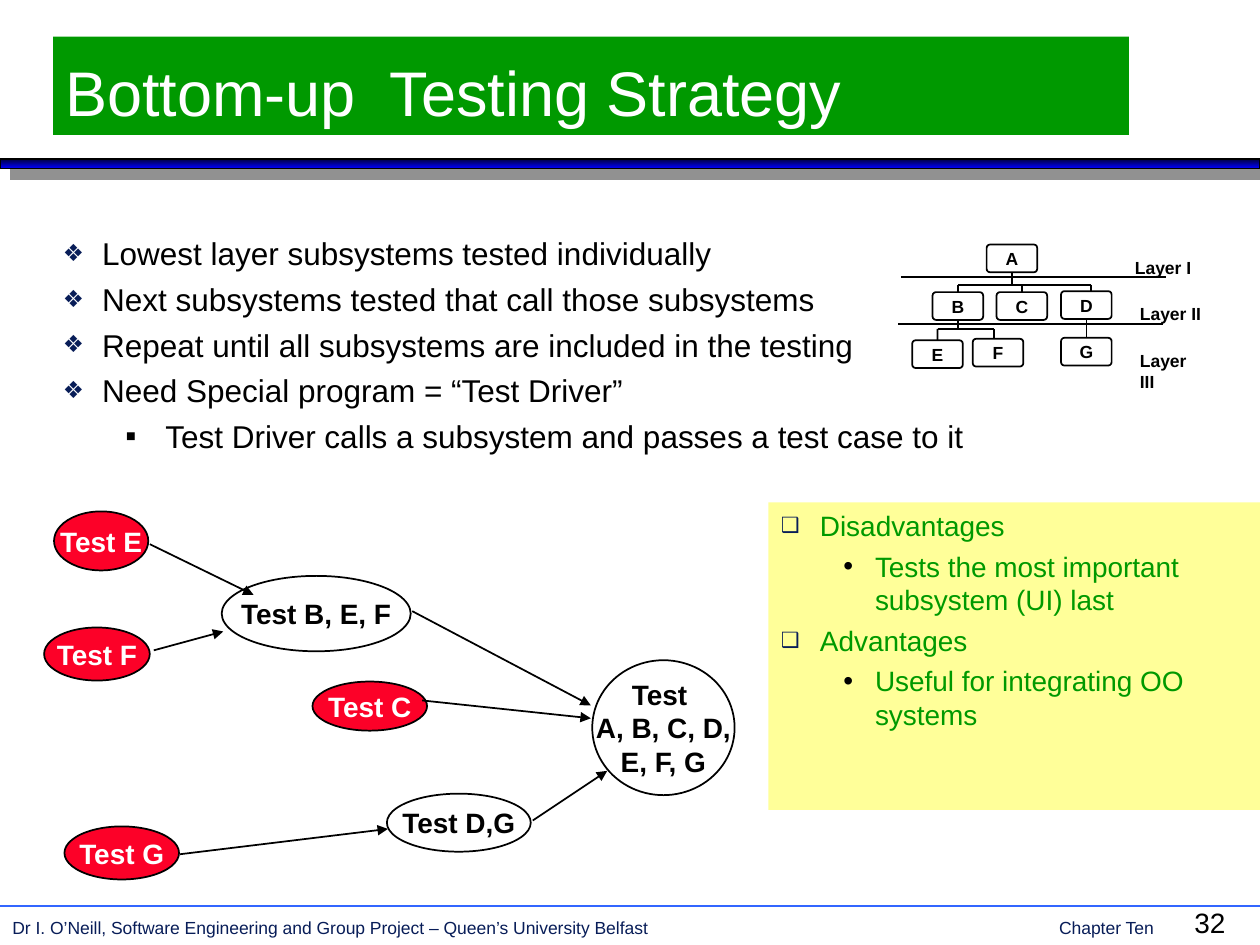
from lxml import etree
from pptx import Presentation
from pptx.dml.color import RGBColor
from pptx.enum.shapes import MSO_CONNECTOR, MSO_SHAPE
from pptx.enum.text import MSO_ANCHOR, PP_ALIGN
from pptx.oxml.ns import qn
from pptx.util import Cm, Pt

RECT, ROUND, OVAL = MSO_SHAPE.RECTANGLE, MSO_SHAPE.ROUNDED_RECTANGLE, MSO_SHAPE.OVAL
LINE = MSO_CONNECTOR.STRAIGHT
LEFT, MID = PP_ALIGN.LEFT, PP_ALIGN.CENTER
TOP, CENTRE, BASE = MSO_ANCHOR.TOP, MSO_ANCHOR.MIDDLE, MSO_ANCHOR.BOTTOM
HEX = {"black": "000000", "white": "FFFFFF", "navy": "081D58", "dark": "000036",
       "blue": "0000FF", "rule": "3366FF", "grey": "919191", "green": "009900",
       "red": "FC0128", "pale": "FFFF99"}
RGB = {name: RGBColor.from_string(code) for name, code in HEX.items()}

deck = Presentation()
deck.slide_width, deck.slide_height = Cm(25.4), Cm(19.05)
slide = deck.slides.add_slide(deck.slide_layouts[6])
shapes = slide.shapes


def write(shape, text, size, color="black", bold=False, align=LEFT, anchor=TOP, wrap=False):
    frame = shape.text_frame
    frame.text = text
    frame.word_wrap = wrap
    frame.vertical_anchor = anchor
    for para in frame.paragraphs:
        para.alignment = align
        font = para.runs[0].font
        font.name, font.size, font.bold = "Arial", Pt(size), bold
        font.color.rgb = RGB[color]


def link(x1, y1, x2, y2, color="black", head=False):
    line = shapes.add_connector(LINE, Cm(x1), Cm(y1), Cm(x2), Cm(y2))
    line.line.color.rgb = RGB[color]
    line.line.width = Pt(1)
    if head:
        etree.SubElement(line.line._get_or_add_ln(), qn("a:tailEnd"), type="triangle")
    etree.SubElement(line._element.spPr, qn("a:effectLst"))
    return line


# Footer
link(0, 18.26, 25.4, 18.26, "rule")
notes = [
    (0, 18.36, 18, 0.66, 10, "navy",
     "Dr I. O’Neill, Software Engineering and Group Project – Queen’s University Belfast"),
    (21.1, 18.36, 2.6, 0.66, 10, "navy", "Chapter Ten"),
    (23.83, 18.14, 1.27, 0.94, 16, "black", "32"),
]
for x, y, w, h, size, color, text in notes:
    box = shapes.add_textbox(Cm(x), Cm(y), Cm(w), Cm(h))
    write(box, text, size, color)

# Shaded bar below the title
bar = shapes.add_shape(RECT, 0, Cm(3.2), Cm(25.4), Cm(0.2))
bar.fill.gradient()
bar.fill.gradient_angle = 270
for stop, name in zip(bar.fill.gradient_stops, ("dark", "blue")):
    stop.color.rgb = RGB[name]
bar.line.color.rgb = RGB["black"]
bar.line.width = Pt(1)
bar.shadow.inherit = False
shade = etree.SubElement(bar._element.spPr.find(qn("a:effectLst")), qn("a:outerShdw"),
                         dist=str(Pt(8.5)), dir="2700000", algn="ctr", rotWithShape="0")
etree.SubElement(shade, qn("a:srgbClr"), val=HEX["grey"])

# Title
title = shapes.add_shape(RECT, Cm(1.07), Cm(0.74), Cm(21.69), Cm(1.98))
title.fill.solid()
title.fill.fore_color.rgb = RGB["green"]
title.line.fill.background()
title.shadow.inherit = False
write(title, "Bottom-up  Testing Strategy", 36, "white", anchor=BASE, wrap=True)

# Test steps: red ovals are single units, clear ones are combined tests
steps = [
    (0.89, 12.65, 2.13, 1.07, "Test F", True),
    (1.09, 10.31, 1.9, 1.19, "Test E", True),
    (1.3, 16.66, 2.31, 1.07, "Test G", True),
    (6.3, 13.74, 2.31, 0.99, "Test C", True),
    (7.8, 16, 2.9, 1.17, "Test D,G", False),
    (4.47, 11.61, 3.81, 1.52, "Test B, E, F", False),
    (11.94, 13.31, 2.87, 2.72, "Test \nA, B, C, D,\nE, F, G", False),
]
for x, y, w, h, text, unit in steps:
    oval = shapes.add_shape(OVAL, Cm(x), Cm(y), Cm(w), Cm(h))
    if unit:
        oval.fill.solid()
        oval.fill.fore_color.rgb = RGB["red"]
    else:
        oval.fill.background()
    oval.line.color.rgb = RGB["black"]
    oval.line.width = Pt(1)
    oval.shadow.inherit = False
    write(oval, text, 16, "white" if unit else "black", True, MID, CENTRE)

arrows = [
    (3.63, 17.22, 7.82, 16.71), (3.02, 10.97, 5.11, 11.99), (3.1, 13.11, 4.5, 12.73),
    (8.31, 12.32, 11.91, 14.22), (8.51, 14.12, 11.91, 14.48), (10.74, 16.54, 12.24, 15.54),
]
for ends in arrows:
    link(*ends, head=True)

# Bulleted lists: (level, text), with a mark, its colour and size per level
pros = shapes.add_shape(RECT, Cm(15.49), Cm(10.13), Cm(9.91), Cm(6.2))
pros.fill.solid()
pros.fill.fore_color.rgb = RGB["pale"]
pros.line.fill.background()
pros.shadow.inherit = False
main = shapes.add_textbox(Cm(1.02), Cm(4.6), Cm(21.49), Cm(5.54))
lists = [
    (pros, 16, "green", 4, "❑•", [
        (0, "Disadvantages"),
        (1, "Tests the most important subsystem (UI) last"),
        (0, "Advantages"),
        (1, "Useful for integrating OO systems")]),
    (main, 18, "black", 4.5, "❖▪", [
        (0, "Lowest layer subsystems tested individually"),
        (0, "Next subsystems tested that call those subsystems"),
        (0, "Repeat until all subsystems are included in the testing"),
        (0, "Need Special program = “Test Driver”"),
        (1, " Test Driver calls a subsystem and passes a test case to it")]),
]
levels = [(0.79, 0.79, "navy", 75), (1.9, 0.64, "black", 100)]
for box, size, color, gap, marks, items in lists:
    write(box, "\n".join(text for _, text in items), size, color, wrap=True)
    for para, (level, _) in zip(box.text_frame.paragraphs, items):
        margin, hang, tint, scale = levels[level]
        para.level = level
        para.space_before = Pt(gap)
        props = para._p.get_or_add_pPr()
        props.set("marL", str(Cm(margin)))
        props.set("indent", str(-Cm(hang)))
        paint = etree.SubElement(props, qn("a:buClr"))
        etree.SubElement(paint, qn("a:srgbClr"), val=HEX[tint])
        etree.SubElement(props, qn("a:buSzPct"), val=str(scale * 1000))
        etree.SubElement(props, qn("a:buFont"), typeface="Arial")
        etree.SubElement(props, qn("a:buChar"), char=marks[level])

# Layer tree: boxes
spots = {"A": (19.89, 4.93), "B": (18.8, 5.89), "C": (20.09, 5.89), "D": (21.39, 5.87),
         "G": (21.39, 6.81), "F": (19.61, 6.83), "E": (18.39, 6.86)}
nodes = {}
for name, (x, y) in spots.items():
    node = shapes.add_shape(ROUND, Cm(x), Cm(y), Cm(1.02), Cm(0.56))
    node.adjustments[0] = 0.125
    node.fill.background()
    node.line.color.rgb = RGB["black"]
    node.line.width = Pt(1)
    node.shadow.inherit = False
    write(node, name, 10, bold=True, align=MID, anchor=CENTRE)
    nodes[name] = node

# Layer tree: branches, joined to the boxes named at either end
branches = [
    (20.4, 5.49, 20.4, 5.74, "A", None), (19.31, 5.74, 22, 5.74, None, None),
    (19.31, 5.74, 19.31, 5.89, None, "B"), (20.6, 5.74, 20.6, 5.89, None, "C"),
    (22, 5.74, 22, 5.87, None, None), (19.31, 6.45, 19.31, 6.63, "B", None),
    (18.9, 6.63, 20.04, 6.63, None, None), (18.9, 6.63, 18.9, 6.86, None, "E"),
    (20.04, 6.63, 20.04, 6.83, None, None), (21.9, 6.43, 21.9, 6.81, "D", "G"),
]
for *ends, start, end in branches:
    line = link(*ends)
    if start:
        line.begin_connect(nodes[start], 2)
    if end:
        line.end_connect(nodes[end], 0)

# Layer tree: dividers and labels
link(18.16, 5.59, 23.5, 5.59)
link(18.11, 6.53, 23.44, 6.53)
for row, (x, text) in enumerate([(22.63, "Layer I"), (22.73, "Layer II"), (22.73, "Layer III")]):
    label = shapes.add_textbox(Cm(x), Cm(5.05 + 0.94 * row), Cm(1.75), Cm(0.66))
    write(label, text, 10, bold=True)

deck.save("out.pptx")
